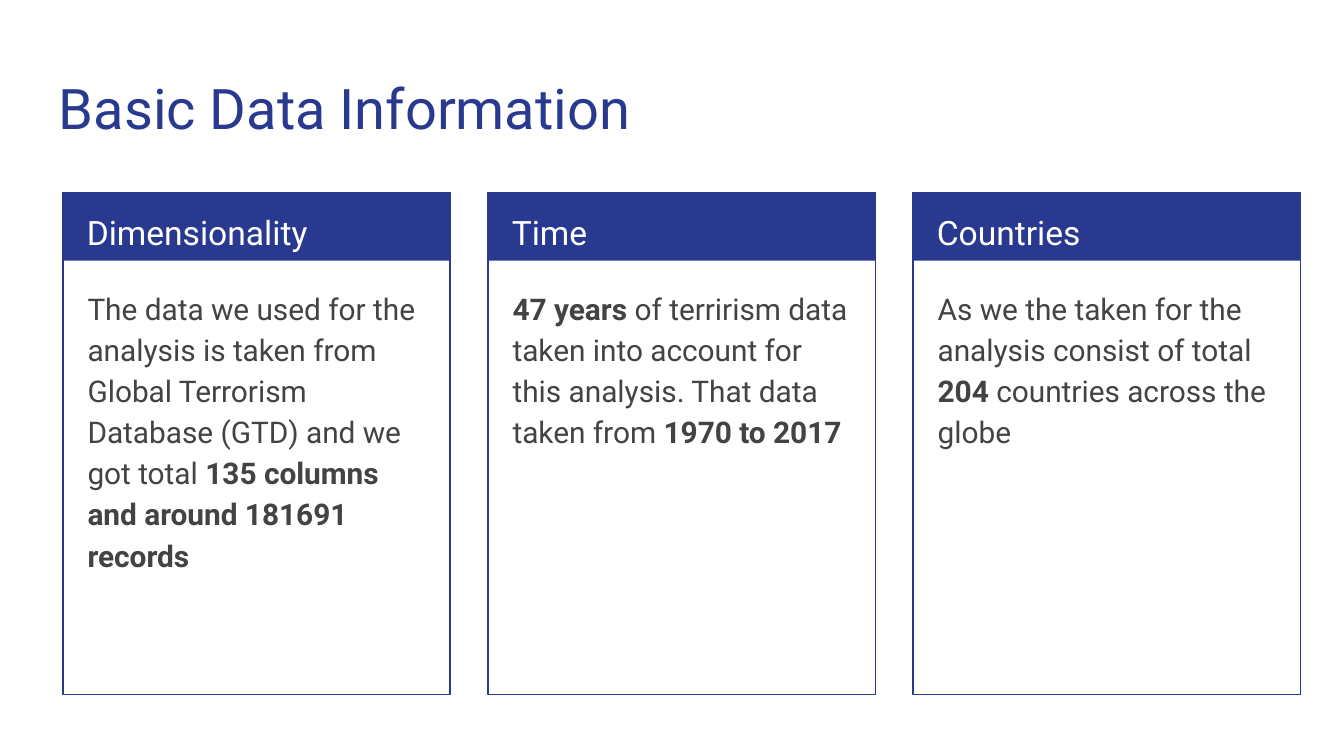
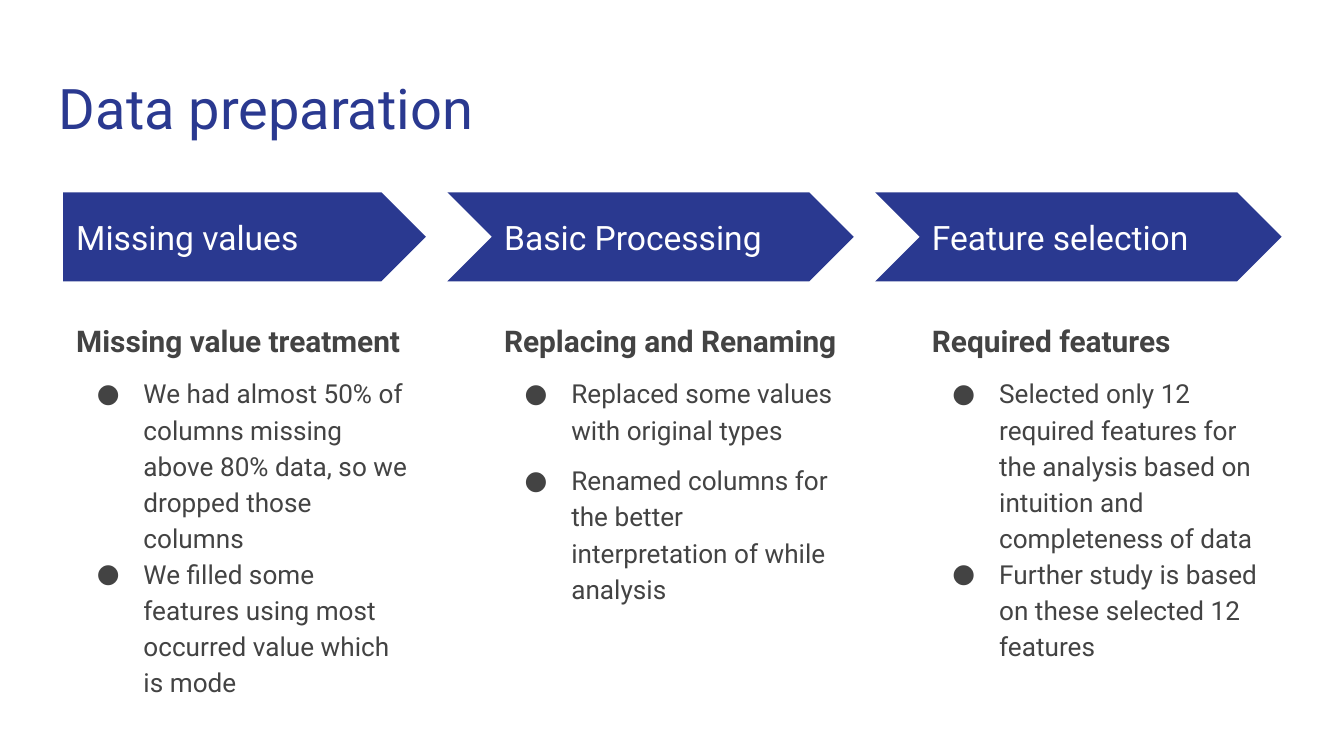
import lxml.etree
import pptx
import pptx.dml.color
import pptx.enum.shapes
import pptx.enum.text
import pptx.oxml.ns
import pptx.util

Pt = pptx.util.Pt
SHAPES = pptx.enum.shapes.MSO_SHAPE
ANCHORS = pptx.enum.text.MSO_ANCHOR

FONT = "Roboto"
NAVY = "2A3990"
GREY = "434343"
WHITE = "FFFFFF"
INSET = 7.2
LEFT = 33.8
TOP = 103
LINE_SPACING = 1.15

CARDS = [
    ("Dimensionality", [
        ("The data we used for the analysis is taken from Global Terrorism "
         "Database (GTD) and we got total ", False),
        ("135 columns and around 181691 records", True)]),
    ("Time", [
        ("47 years", True),
        (" of terrirism data taken into account for this analysis. "
         "That data taken from ", False),
        ("1970 to 2017", True)]),
    ("Countries", [
        ("As we the taken for the analysis consist of total ", False),
        ("204 ", True),
        ("countries across the globe", False)]),
]

# Step name, subheading, bullets, space before each bullet after the first
STEPS = [
    ("Missing values", "Missing value treatment", [
        "We had almost 50% of columns missing above 80% data, "
        "so we dropped those columns",
        "We filled some features using most occurred value which is mode"], 0),
    ("Basic Processing", "Replacing and Renaming", [
        "Replaced some values with original types",
        "Renamed columns for the better interpretation of while analysis"], 8),
    ("Feature selection", "Required features", [
        "Selected only 12 required features for the analysis based on "
        "intuition and completeness of data",
        "Further study is based on these selected 12 features"], 0),
]


def colour(value):
    return pptx.dml.color.RGBColor.from_string(value)


def add_block(page, kind, left, top, width, height, fill=None, line=None):
    block = page.shapes.add_shape(kind, Pt(left), Pt(top), Pt(width), Pt(height))
    block.shadow.inherit = False
    if fill:
        block.fill.solid()
        block.fill.fore_color.rgb = colour(fill)
    else:
        block.fill.background()
    if line:
        block.line.color.rgb = colour(line)
        block.line.width = Pt(0.75)
    else:
        block.line.fill.background()
    return block


def add_text_frame(page, left, top, width, height, anchor=ANCHORS.TOP):
    box = page.shapes.add_textbox(Pt(left), Pt(top), Pt(width), Pt(height))
    frame = box.text_frame
    frame.word_wrap = True
    frame.vertical_anchor = anchor
    frame.margin_left = frame.margin_right = Pt(INSET)
    frame.margin_top = frame.margin_bottom = Pt(INSET)
    return frame


def write(para, spans, size, ink, spacing=None):
    """Fill a paragraph with (text, bold) spans."""
    if spacing:
        para.line_spacing = spacing
    for text, bold in spans:
        span = para.add_run()
        span.text = text
        span.font.name = FONT
        span.font.size = Pt(size)
        span.font.bold = bold
        span.font.color.rgb = colour(ink)


def add_bullet(para):
    qn = pptx.oxml.ns.qn
    properties = para._p.get_or_add_pPr()
    properties.set("marL", str(Pt(36)))
    properties.set("indent", str(-Pt(25)))
    ink = lxml.etree.SubElement(properties, qn("a:buClr"))
    lxml.etree.SubElement(ink, qn("a:srgbClr"), val=GREY)
    lxml.etree.SubElement(properties, qn("a:buFont"), typeface=FONT)
    lxml.etree.SubElement(properties, qn("a:buChar"), char="●")


def add_page(deck, title):
    page = deck.slides.add_slide(deck.slide_layouts[6])
    page.background.fill.solid()
    page.background.fill.fore_color.rgb = colour(WHITE)
    frame = add_text_frame(page, 24.5, 32.4, 671, 47.5)
    write(frame.paragraphs[0], [(title, False)], 30, NAVY)
    return page


def add_card(page, left, top, width, height, heading, spans):
    header_height = 36.7
    add_block(page, SHAPES.RECTANGLE, left, top, width, header_height, fill=NAVY)
    add_block(page, SHAPES.RECTANGLE, left, top, width, height, line=NAVY)
    header = add_text_frame(page, left + 5.6, top, width - 11, header_height)
    write(header.paragraphs[0], [(heading, False)], 18, WHITE, LINE_SPACING)
    body = add_text_frame(page, left + 6, top + 42.5, width - 12, height - 49)
    write(body.paragraphs[0], spans, 16, GREY, LINE_SPACING)
    body.paragraphs[0].space_after = Pt(16)


def add_step_arrow(page, left, top, width, height, name, first):
    """Place a step arrow; later ones reach back so their notch clears the text."""
    reach = 0 if first else 23.3
    kind = SHAPES.PENTAGON if first else SHAPES.CHEVRON
    arrow = add_block(page, kind, left - reach, top, width + reach, height, fill=NAVY)
    arrow.adjustments[0] = 0.5
    label_height = 24.4
    label = add_text_frame(page, left, top + (height - label_height) / 2,
                           width - 16.5, label_height, ANCHORS.MIDDLE)
    write(label.paragraphs[0], [(name, False)], 18, WHITE)


def add_step_notes(page, left, top, width, height, subheading, bullets, gap):
    frame = add_text_frame(page, left, top, width, height)
    write(frame.paragraphs[0], [(subheading, True)], 16, GREY, LINE_SPACING)
    for index, text in enumerate(bullets):
        para = frame.add_paragraph()
        write(para, [(text, False)], 14, GREY, LINE_SPACING)
        para.space_before = Pt(gap if index else 8)
        para.space_after = Pt(0)
        add_bullet(para)


def build_data_page(deck):
    page = add_page(deck, "Basic Data Information")
    pitch = 227.7
    for index, (heading, spans) in enumerate(CARDS):
        add_card(page, LEFT + index * pitch, TOP, 207.4, 269.2, heading, spans)


def build_preparation_page(deck):
    page = add_page(deck, "Data preparation")
    pitch, width = 229.2, 194.4
    for index, (name, subheading, bullets, gap) in enumerate(STEPS):
        left = LEFT + index * pitch
        add_step_arrow(page, left, TOP, width, 47.7, name, index == 0)
        add_step_notes(page, left, TOP + 59.7, width, 208.8, subheading, bullets, gap)


def main():
    deck = pptx.Presentation()
    deck.slide_width = Pt(720)
    deck.slide_height = Pt(405)
    build_data_page(deck)
    build_preparation_page(deck)
    deck.save("out.pptx")


if __name__ == "__main__":
    main()
